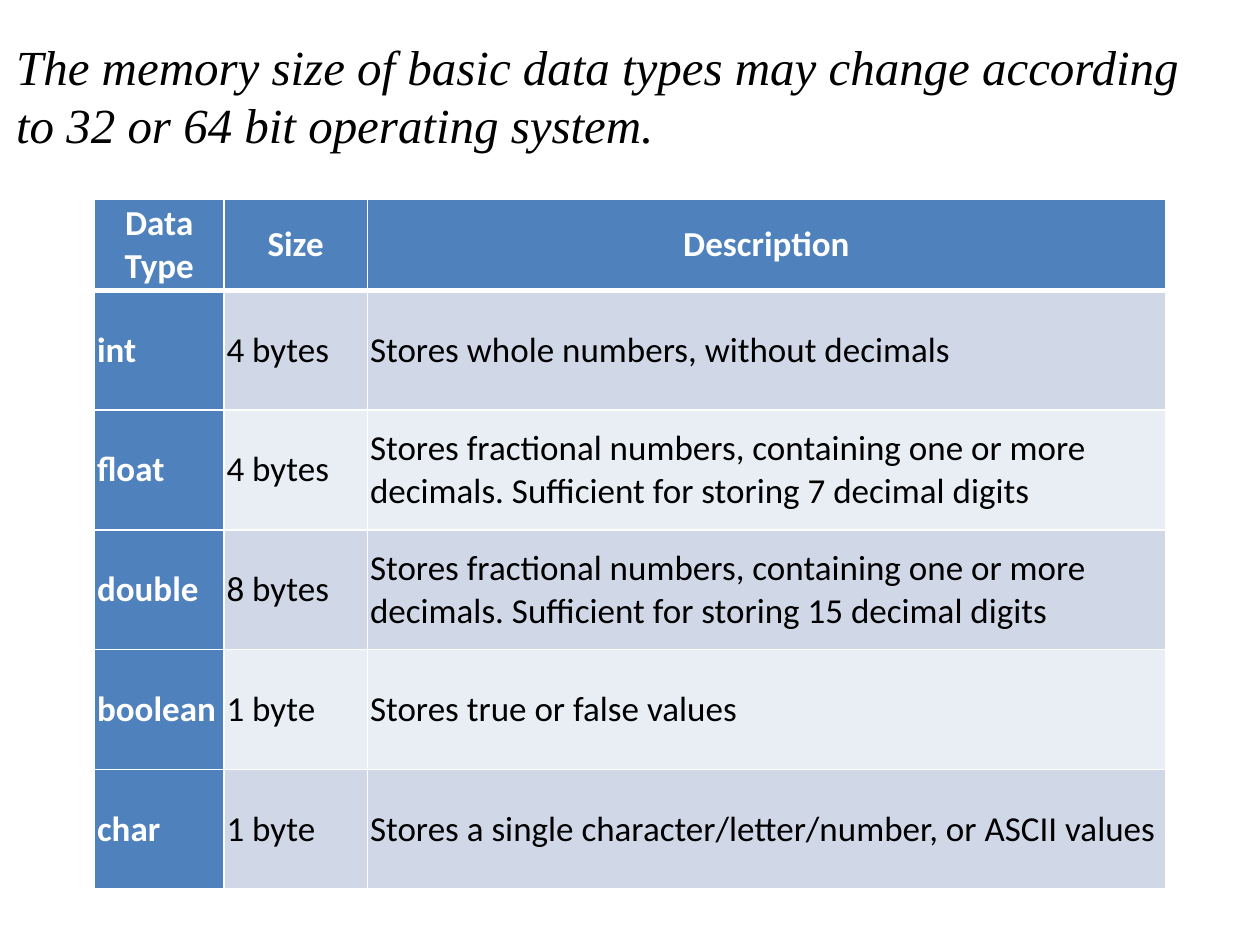
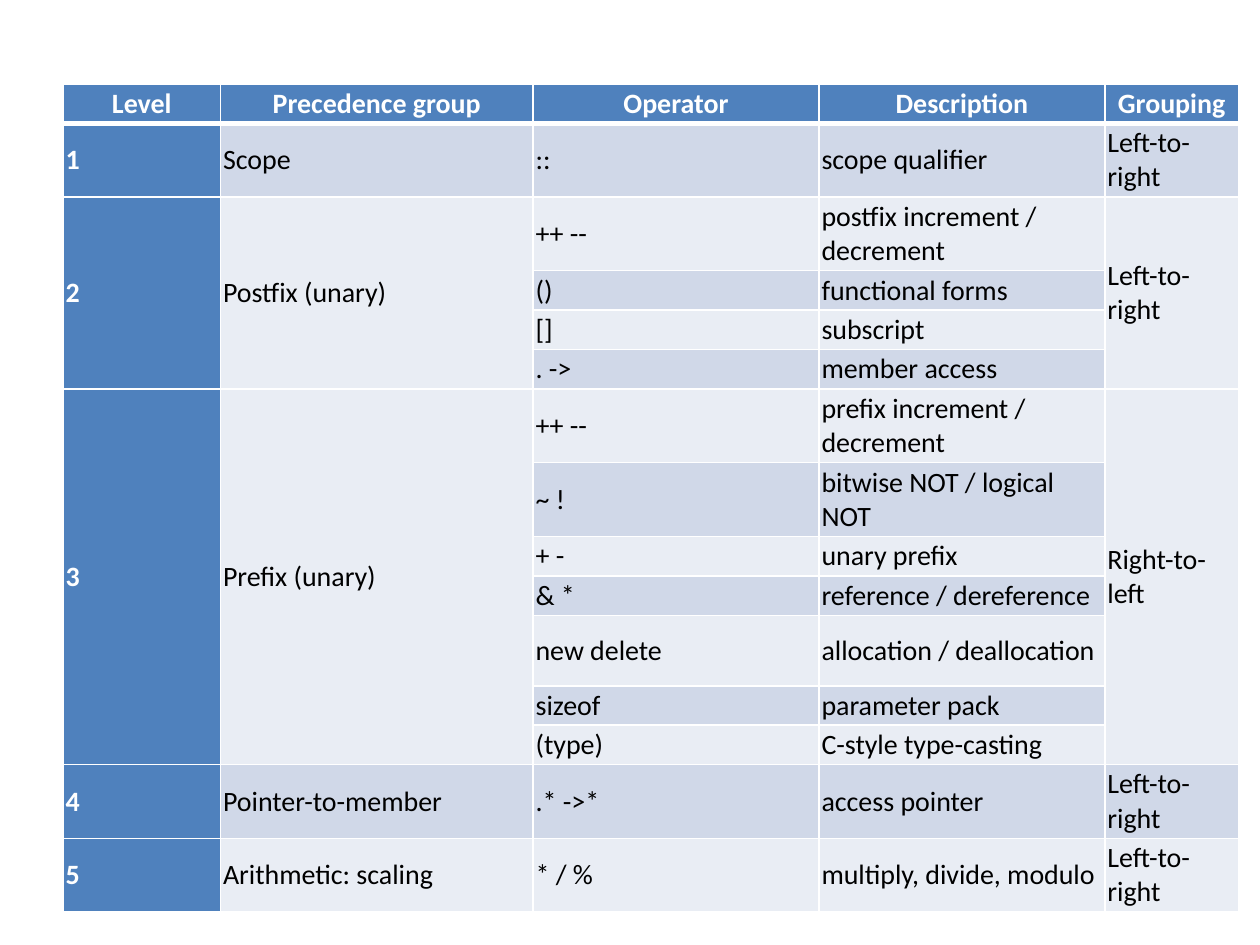
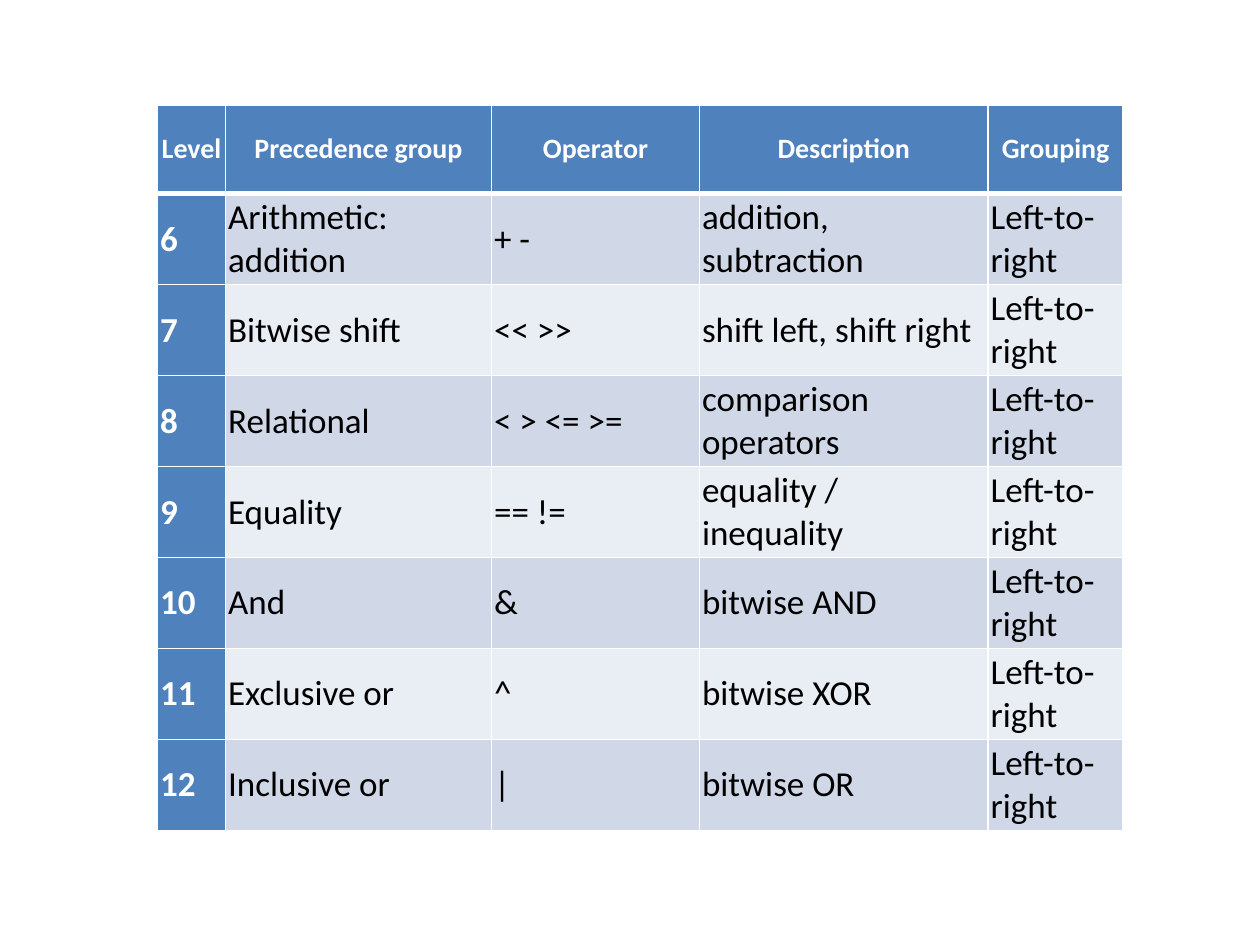
import pptx
import pptx.dml.color
import pptx.enum.text
import pptx.oxml
import pptx.oxml.ns
import pptx.util

COLORS = {
    "accent": "4F81BD",
    "dark band": "D0D8E8",
    "light band": "E9EDF4",
    "rule": "FFFFFF",
    "light text": "FFFFFF",
    "dark text": "000000",
}
ALIGN = pptx.enum.text.PP_ALIGN
ANCHOR = pptx.enum.text.MSO_ANCHOR
INSET = pptx.util.Pt(1.5)
CELL_FORMAT = {
    "vertical_anchor": ANCHOR.MIDDLE,
    "margin_left": INSET,
    "margin_right": INSET,
    "margin_top": INSET,
    "margin_bottom": INSET,
}


def write_paragraph(para, text, color, align, font_format):
    para.alignment = align
    span = para.add_run()
    span.text = text
    for name, value in font_format.items():
        setattr(span.font, name, value)
    span.font.color.rgb = pptx.dml.color.RGBColor.from_string(COLORS[color])


def add_grid(page, left, top, widths, heights, rows, body_size, head_size):
    """Draw a banded table; None continues the cell above it."""
    frame = page.shapes.add_table(
        len(rows), len(widths), pptx.util.Pt(left), pptx.util.Pt(top),
        pptx.util.Pt(sum(widths)), pptx.util.Pt(sum(heights)))
    table = frame.table
    for column, width in zip(table.columns, widths):
        column.width = pptx.util.Pt(width)
    for row, height in zip(table.rows, heights):
        row.height = pptx.util.Pt(height)

    for r, row in enumerate(rows):
        for c, text in enumerate(row):
            cell = table.cell(r, c)
            for name, value in CELL_FORMAT.items():
                setattr(cell, name, value)

            # Borders: a heavier rule below the header row
            properties = cell._tc.get_or_add_tcPr()
            for side in ("L", "R", "T", "B"):
                heavy = (r, side) in ((0, "B"), (1, "T"))
                width = pptx.util.Pt(3 if heavy else 1)
                properties.append(pptx.oxml.parse_xml(
                    f'<a:ln{side} {pptx.oxml.ns.nsdecls("a")} w="{width}">'
                    f'<a:solidFill><a:srgbClr val="{COLORS["rule"]}"/>'
                    f'</a:solidFill></a:ln{side}>'))

            # Fill: accent for headings, alternating bands elsewhere
            heading = r == 0 or c == 0
            band = "dark band" if r % 2 else "light band"
            cell.fill.solid()
            cell.fill.fore_color.rgb = pptx.dml.color.RGBColor.from_string(
                COLORS["accent" if heading else band])

            if text is None:
                continue
            last = r
            while last + 1 < len(rows) and rows[last + 1][c] is None:
                last += 1
            if last > r:
                cell.merge(table.cell(last, c))
            write_paragraph(
                cell.text_frame.paragraphs[0], text,
                "light text" if heading else "dark text",
                ALIGN.LEFT if r else ALIGN.CENTER,
                {"name": "Calibri", "bold": heading,
                 "size": pptx.util.Pt(body_size if r else head_size)})


deck = pptx.Presentation()
deck.slide_width = pptx.util.Pt(720)
deck.slide_height = pptx.util.Pt(540)
title_only, blank = deck.slide_layouts[5], deck.slide_layouts[6]

# Slide 1: data types
page = deck.slides.add_slide(title_only)
title = page.shapes.title
title_place = {"left": 2, "top": 17, "width": 693, "height": 92}
for name, value in title_place.items():
    setattr(title, name, pptx.util.Pt(value))
title_format = {
    "word_wrap": True,
    "vertical_anchor": ANCHOR.TOP,
    "auto_size": pptx.enum.text.MSO_AUTO_SIZE.NONE,
}
for name, value in title_format.items():
    setattr(title.text_frame, name, value)
title_lines = [
    "The memory size of basic data types may change according",
    "to 32 or 64 bit operating system.",
]
for index, line in enumerate(title_lines):
    frame = title.text_frame
    para = frame.add_paragraph() if index else frame.paragraphs[0]
    write_paragraph(para, line, "dark text", ALIGN.LEFT,
                    {"name": "Times New Roman", "italic": True,
                     "size": pptx.util.Pt(28)})

fraction = ("Stores fractional numbers, containing one or more decimals. "
            "Sufficient for storing {} decimal digits")
data_types = [
    ("Data Type", "Size", "Description"),
    ("int", "4 bytes", "Stores whole numbers, without decimals"),
    ("float", "4 bytes", fraction.format(7)),
    ("double", "8 bytes", fraction.format(15)),
    ("boolean", "1 byte", "Stores true or false values"),
    ("char", "1 byte",
     "Stores a single character/letter/number, or ASCII values"),
]
add_grid(page, 54, 114, [74, 82, 456], [46] + [68.4] * 5, data_types, 20, 20)

# Slides 2 and 3: operator precedence
operator_head = ("Level", "Precedence group", "Operator", "Description",
                 "Grouping")
forward, backward = "Left-to-right", "Right-to-left"

# Slide 2: levels 1 to 5, some with several operators
groups = [
    ("Scope", forward, [("::", "scope qualifier")]),
    ("Postfix (unary)", forward, [
        ("++ --", "postfix increment / decrement"),
        ("()", "functional forms"),
        ("[]", "subscript"),
        (". ->", "member access"),
    ]),
    ("Prefix (unary)", backward, [
        ("++ --", "prefix increment / decrement"),
        ("~ !", "bitwise NOT / logical NOT"),
        ("+ -", "unary prefix"),
        ("& *", "reference / dereference"),
        ("new delete", "allocation / deallocation"),
        ("sizeof", "parameter pack"),
        ("(type)", "C-style type-casting"),
    ]),
    ("Pointer-to-member", forward, [(".* ->*", "access pointer")]),
    ("Arithmetic: scaling", forward, [("* / %", "multiply, divide, modulo")]),
]
rows = [operator_head]
for level, (group, grouping, operators) in enumerate(groups, 1):
    for index, (operator, description) in enumerate(operators):
        if index:
            rows.append((None, None, operator, description, None))
        else:
            rows.append((str(level), group, operator, description, grouping))
tall_rows = {1, 2, 6, 7, 10, 13, 14}
heights = [40.3 if r in tall_rows else 22.4 for r in range(len(rows))]
page = deck.slides.add_slide(blank)
add_grid(page, 36, 48, [90, 178.6, 163.4, 163.4, 76.3], heights, rows, 16, 16)

# Slide 3: levels 6 to 12, one operator row each
single_groups = [
    ("Arithmetic: addition", "+ -", "addition, subtraction"),
    ("Bitwise shift", "<< >>", "shift left, shift right"),
    ("Relational", "< > <= >=", "comparison operators"),
    ("Equality", "== !=", "equality / inequality"),
    ("And", "&", "bitwise AND"),
    ("Exclusive or", "^", "bitwise XOR"),
    ("Inclusive or", "|", "bitwise OR"),
]
rows = [operator_head]
for level, group in enumerate(single_groups, 6):
    rows.append((str(level), *group, forward))
page = deck.slides.add_slide(blank)
add_grid(page, 90, 60, [38.9, 152, 118.8, 165, 77.2], [50.75] * len(rows),
         rows, 20, 16)

deck.save("out.pptx")
